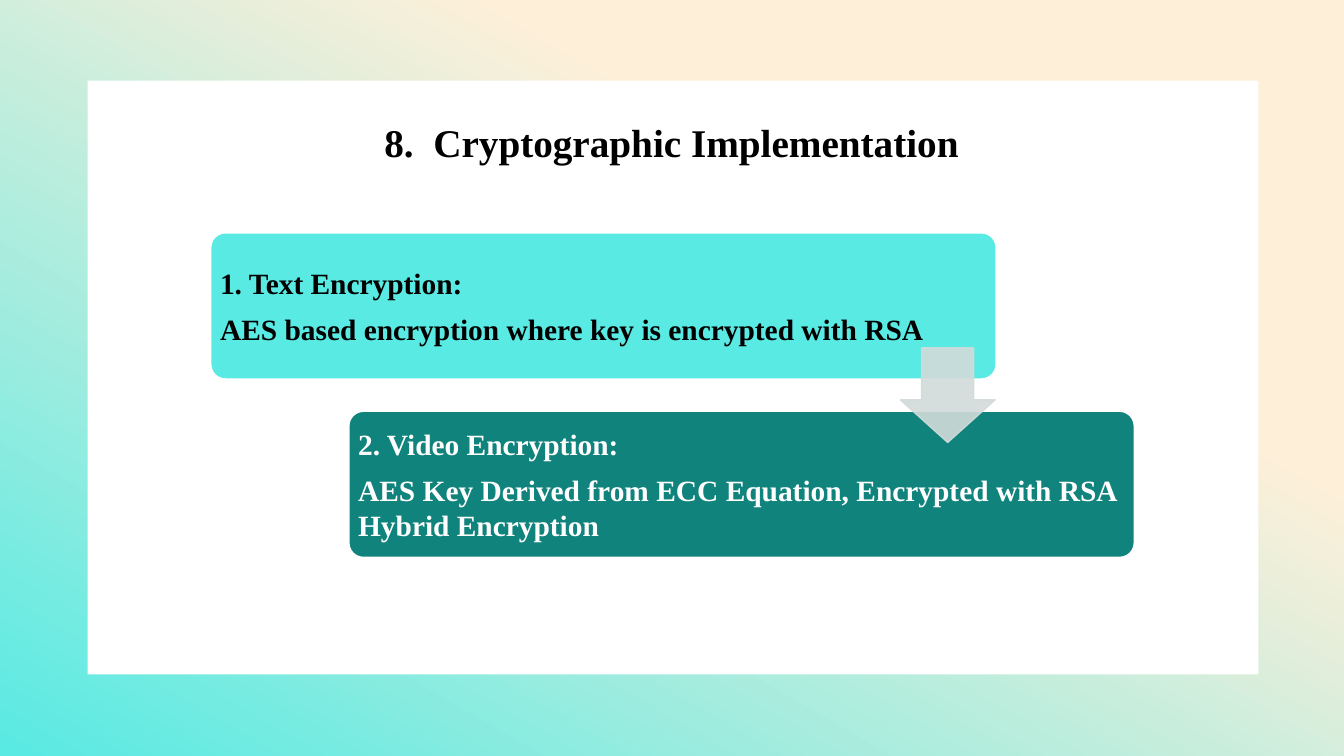
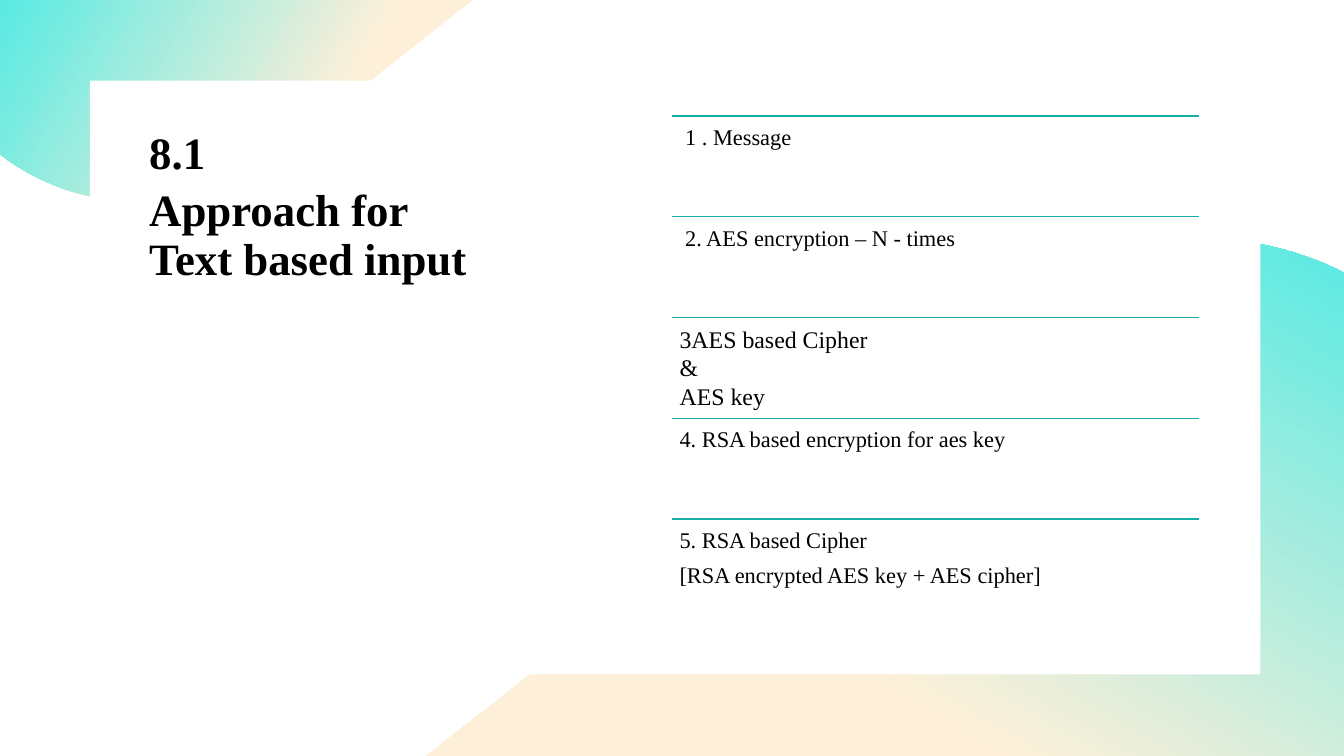
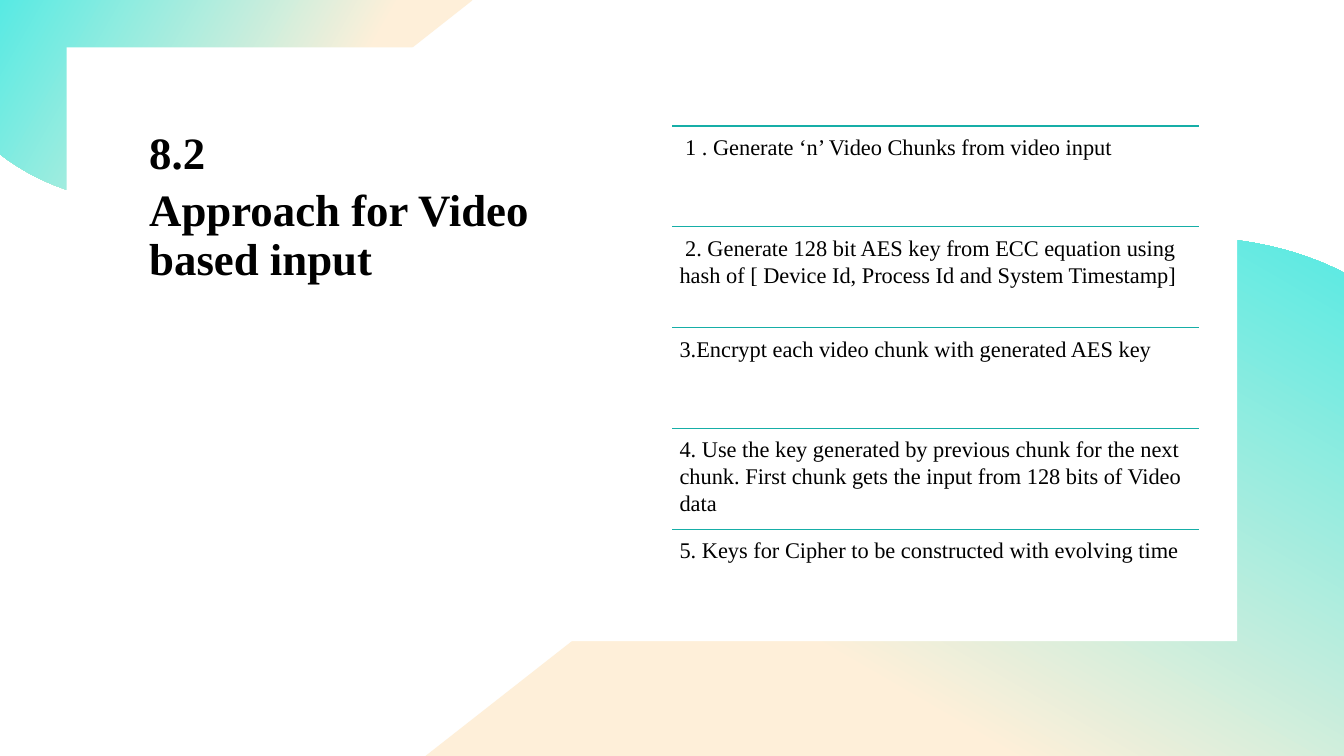
"""Build three slides on a cryptographic implementation."""
from copy import deepcopy
from dataclasses import dataclass

from lxml import etree
from pptx import Presentation
from pptx import util as u
from pptx.dml.color import RGBColor
from pptx.enum import shapes, text
from pptx.oxml import ns


@dataclass(frozen=True)
class Theme:
    font: str = "Times New Roman"
    cream: RGBColor = RGBColor.from_string("FEEFD9")
    aqua: RGBColor = RGBColor.from_string("58EAE3")
    teal: RGBColor = RGBColor.from_string("10837D")
    rule: RGBColor = RGBColor.from_string("16AEA7")
    arrow: RGBColor = RGBColor.from_string("D2DBDA")
    white: RGBColor = RGBColor.from_string("FFFFFF")
    black: RGBColor = RGBColor.from_string("000000")
    heading: int = 28
    title: int = 32
    card: int = 21
    step: int = 16
    large_step: int = 17


theme = Theme()


def write(frame, lines, size, color=theme.black, bold=False, inset=None,
          anchor=text.MSO_ANCHOR.TOP, **spacing):
    frame_format = {"word_wrap": True, "auto_size": text.MSO_AUTO_SIZE.NONE,
                    "vertical_anchor": anchor}
    if inset is not None:
        for side in ("left", "top", "right", "bottom"):
            frame_format[f"margin_{side}"] = u.Inches(inset)
    for name, value in frame_format.items():
        setattr(frame, name, value)
    paragraph_format = {"alignment": text.PP_ALIGN.LEFT,
                        "space_after": u.Pt(round(0.35 * size, 2))} | spacing
    font_format = {"name": theme.font, "size": u.Pt(size), "bold": bold}
    for index, line in enumerate(lines):
        paragraph = frame.add_paragraph() if index else frame.paragraphs[0]
        paragraph.text = line
        for name, value in paragraph_format.items():
            setattr(paragraph, name, value)
        for run in paragraph.runs:
            for name, value in font_format.items():
                setattr(run.font, name, value)
            run.font.color.rgb = color
        for line_break in paragraph._p.iter(ns.qn("a:br")):
            line_break.insert(0, deepcopy(paragraph.runs[0]._r.rPr))


def add_base(slide, outlines, panel_left, panel_top):
    for angle, segments in outlines:
        points = []
        for segment in segments:
            if len(segment) == 2:
                points.append(segment)
                continue
            start = points[-1]
            controls = [start, segment[:2], segment[2:4], segment[4:]]
            for step in range(1, 17):
                t = step / 16
                weights = ((1 - t) ** 3, 3 * t * (1 - t) ** 2,
                           3 * t * t * (1 - t), t ** 3)
                points.append(tuple(
                    sum(w * c[axis] for w, c in zip(weights, controls))
                    for axis in (0, 1)))
        scaled = [(x * 1000, y * 1000) for x, y in points]
        builder = slide.shapes.build_freeform(*scaled[0], scale=u.Inches(1) / 1000)
        builder.add_line_segments(scaled[1:], close=True)
        backdrop = builder.convert_to_shape()
        backdrop.shadow.inherit = False
        backdrop.line.fill.background()
        backdrop.fill.gradient()
        backdrop.fill.gradient_angle = angle
        stops = ((0.32, theme.cream), (1, theme.aqua))
        for stop, (position, color) in zip(backdrop.fill.gradient_stops, stops):
            stop.position = position
            stop.color.rgb = color
    panel = slide.shapes.add_shape(
        shapes.MSO_SHAPE.RECTANGLE, u.Inches(panel_left), u.Inches(panel_top),
        u.Inches(11.61), u.Inches(5.89))
    panel.shadow.inherit = False
    panel.fill.solid()
    panel.fill.fore_color.rgb = theme.white
    panel.line.fill.background()
    title = slide.shapes.title
    title.element.getparent().append(title.element)
    return title


full_slide = [(240, [(0, 0), (13.33, 0), (13.33, 7.5), (0, 7.5)])]
corners = [
    (150, [(0, 0), (4.69, 0), (2.71, 1.56), (2.66, 1.59),
           (2.3, 1.85, 1.88, 1.98, 1.47, 2), (1.42, 2, 1.38, 2, 1.34, 2),
           (0.86, 1.99, 0.39, 1.83, 0, 1.53)]),
    (60, [(11.93, 2.36), (12.4, 2.37, 12.86, 2.48, 13.28, 2.68), (13.33, 2.71),
          (13.33, 7.5), (4.22, 7.5), (9.97, 2.99), (10.03, 2.94),
          (10.55, 2.58, 11.15, 2.39, 11.74, 2.36),
          (11.81, 2.36, 11.87, 2.36, 11.93, 2.36)]),
]

presentation = Presentation()
presentation.slide_width = u.Inches(13.33)
presentation.slide_height = u.Inches(7.5)
title_only = presentation.slide_layouts[5]

slide = presentation.slides.add_slide(title_only)
title = add_base(slide, full_slide, 0.87, 0.8)
title.left, title.top = u.Inches(2.33), u.Inches(1.25)
title.width, title.height = u.Inches(8.66), u.Inches(0.63)
write(title.text_frame, ["8.  Cryptographic Implementation"], theme.heading, bold=True,
      alignment=text.PP_ALIGN.CENTER, line_spacing=0.7, space_after=u.Pt(6))

cards = [
    (2.09, 2.31, theme.aqua, theme.black,
     ["1. Text Encryption:", "AES based encryption where key is encrypted with RSA"]),
    (3.46, 4.08, theme.teal, theme.white,
     ["2. Video Encryption:",
      "AES Key Derived from ECC Equation, Encrypted with RSA Hybrid Encryption"]),
]
for left, top, fill, color, lines in cards:
    card = slide.shapes.add_shape(
        shapes.MSO_SHAPE.ROUNDED_RECTANGLE, u.Inches(left), u.Inches(top),
        u.Inches(7.79), u.Inches(1.45))
    card.adjustments[0] = 0.1
    card.shadow.inherit = False
    card.fill.solid()
    card.fill.fore_color.rgb = fill
    card.line.color.rgb = theme.white
    card.line.width = u.Pt(1)
    write(card.text_frame, lines, theme.card, color, bold=True, inset=0.05,
          anchor=text.MSO_ANCHOR.MIDDLE)

arrow = slide.shapes.add_shape(
    shapes.MSO_SHAPE.DOWN_ARROW, u.Inches(8.93), u.Inches(3.45),
    u.Inches(0.94), u.Inches(0.94))
arrow.adjustments[0], arrow.adjustments[1] = 0.55, 0.45
arrow.shadow.inherit = False
arrow.fill.solid()
arrow.fill.fore_color.rgb = theme.arrow
arrow.line.color.rgb = theme.arrow
arrow.line.width = u.Pt(1)
for color in arrow.element.spPr.iter(ns.qn("a:srgbClr")):
    etree.SubElement(color, ns.qn("a:alpha"), val="90000")

approaches = [
    ((0.89, 0.8), 1.15, ["8.1", "Approach for \nText based input"], [
        (theme.step, [" 1 . Message"]),
        (theme.step, [" 2. AES encryption – N - times"]),
        (theme.large_step, ["3AES based Cipher\n&\nAES key"]),
        (theme.step, ["4. RSA based encryption for aes key"]),
        (theme.step, ["5. RSA based Cipher", "[RSA encrypted AES key + AES cipher]"]),
    ]),
    ((0.66, 0.47), 1.25, ["8.2", "Approach for Video based input"], [
        (theme.step, [" 1 . Generate ‘n’ Video Chunks from video input"]),
        (theme.step, [" 2. Generate 128 bit AES key from ECC equation using hash of "
                      "[ Device Id, Process Id and System Timestamp]"]),
        (theme.step, ["3.Encrypt each video chunk with generated AES key"]),
        (theme.step, ["4. Use the key generated by previous chunk for the next chunk. "
                      "First chunk gets the input from 128 bits of Video data"]),
        (theme.step, ["5. Keys for Cipher to be constructed with evolving time"]),
    ]),
]
for panel_corner, steps_top, title_lines, steps in approaches:
    slide = presentation.slides.add_slide(title_only)
    title = add_base(slide, corners, *panel_corner)
    title.left, title.top = u.Inches(1.38), u.Inches(1.25)
    title.width, title.height = u.Inches(4.29), u.Inches(3.66)
    write(title.text_frame, title_lines, theme.title, bold=True,
          line_spacing=0.9, space_after=u.Pt(6))
    left, width = u.Inches(6.67), u.Inches(5.22)
    for row, (size, lines) in enumerate(steps):
        top = u.Inches(steps_top + row)
        rule = slide.shapes.add_connector(
            shapes.MSO_CONNECTOR.STRAIGHT, left, top, left + width, top)
        rule.line.color.rgb = theme.rule
        rule.line.width = u.Pt(1)
        etree.SubElement(rule.element.spPr, ns.qn("a:effectLst"))
        box = slide.shapes.add_textbox(left, top, width, u.Inches(1))
        write(box.text_frame, lines, size, inset=0.07)

presentation.save("out.pptx")
